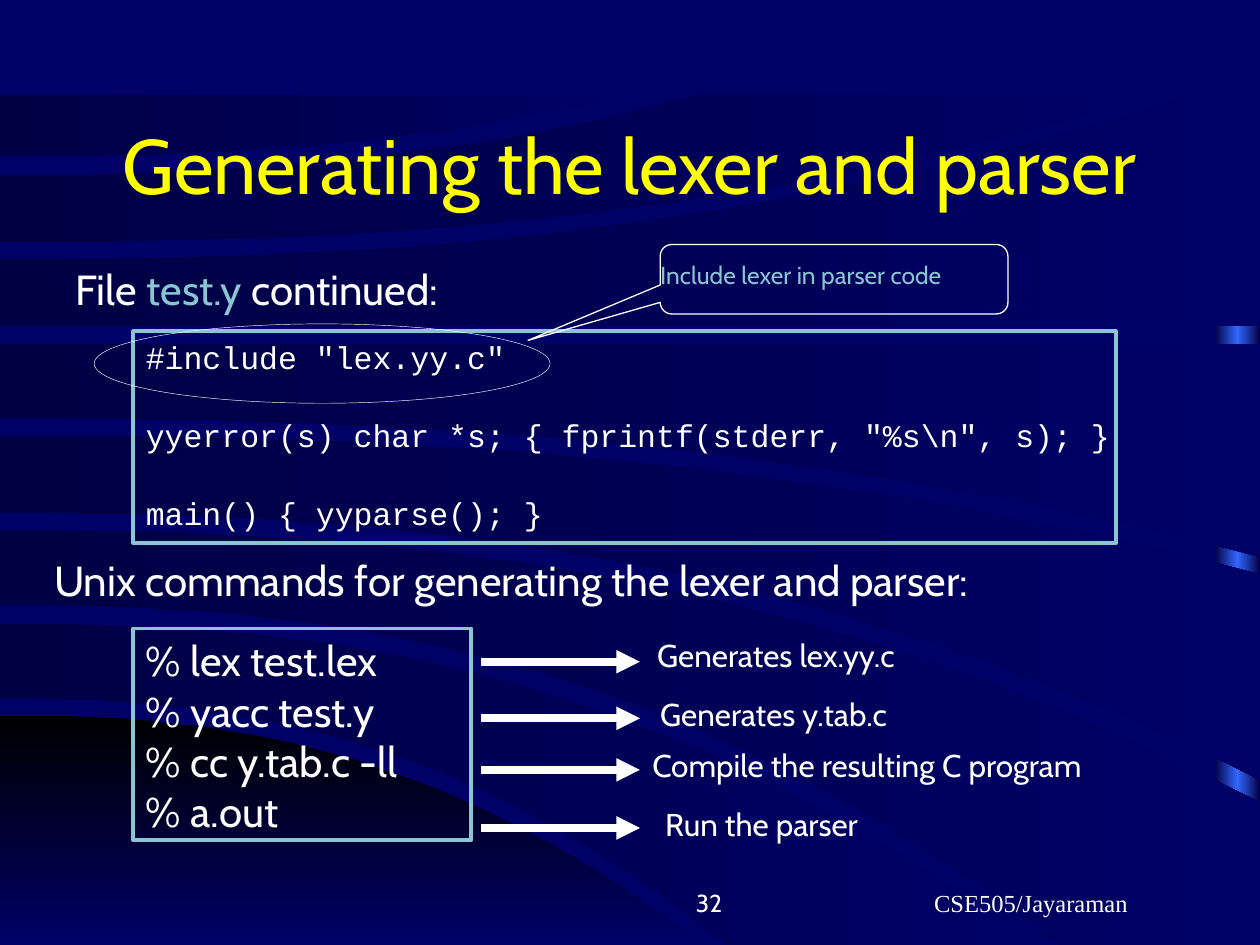
from lxml import etree
from pptx import Presentation
from pptx.dml.color import RGBColor
from pptx.enum.shapes import MSO_CONNECTOR, MSO_SHAPE
from pptx.enum.text import MSO_ANCHOR, PP_ALIGN
from pptx.oxml.ns import qn
from pptx.util import Cm, Pt

RECT, OVAL, CALLOUT = MSO_SHAPE.RECTANGLE, MSO_SHAPE.OVAL, MSO_SHAPE.ROUNDED_RECTANGULAR_CALLOUT
STRAIGHT = MSO_CONNECTOR.STRAIGHT
TOP, MIDDLE, BOTTOM = MSO_ANCHOR.TOP, MSO_ANCHOR.MIDDLE, MSO_ANCHOR.BOTTOM
LEFT, CENTER, RIGHT = PP_ALIGN.LEFT, PP_ALIGN.CENTER, PP_ALIGN.RIGHT


class Theme:
    navy, dark, black, glow = "000066", "000044", "000000", "3366FF"
    white, yellow, teal = "FFFFFF", "FFFF00", "8AC6D2"
    sans, mono, serif = "Cabin", "Courier New", "Times New Roman"
    title, body, label, small = 44, 24, 18, 14


def write(sp, paragraphs, size, color=Theme.white, font=Theme.sans, align=LEFT, anchor=TOP, gap=0):
    tf = sp.text_frame
    tf.word_wrap = True
    tf.vertical_anchor = anchor
    tf.margin_right = Cm(0.25) if align == RIGHT else 0
    if align == CENTER:
        tf.margin_left = 0
    for i, runs in enumerate(paragraphs):
        p = tf.paragraphs[0] if i == 0 else tf.add_paragraph()
        p.alignment = align
        p.space_before = Pt(gap if i else 0)
        for text, run_color in runs:
            r = p.add_run()
            r.text = text
            r.font.size = Pt(size)
            r.font.name = font
            r.font.color.rgb = RGBColor.from_string(run_color or color)


def paint_gradient(sp, colors, angle):
    sp.shadow.inherit = False
    sp.line.fill.background()
    sp.fill.gradient()
    sp.fill.gradient_angle = angle
    stops = sp._element.spPr.find(".//" + qn("a:gsLst"))
    for gs in list(stops):
        stops.remove(gs)
    for i, color in enumerate(colors):
        gs = etree.SubElement(stops, qn("a:gs"), pos=str(100000 * i // (len(colors) - 1)))
        etree.SubElement(gs, qn("a:srgbClr"), val=color)


prs = Presentation()
prs.slide_width, prs.slide_height = Cm(25.4), Cm(19.05)
s = prs.slides.add_slide(prs.slide_layouts[5])
s.background.fill.solid()
s.background.fill.fore_color.rgb = RGBColor.from_string(Theme.navy)

bar = s.shapes.add_shape(RECT, Cm(24.49), Cm(1.96), Cm(0.91), Cm(17.09))
paint_gradient(bar, [Theme.dark, Theme.glow, Theme.dark], 0)

BEND, STEPS = 2.4, 24
swooshes = [
    ((568, 556, 750), (750, 556, 750), Theme.black, 270),
    ((495, 820, 750), (554, 577, 750), Theme.dark, 0),
    ((421, 1000, 637), (480, 842, 750), Theme.dark, 0),
    ((346, 1000, 456), (407, 1000, 619), Theme.dark, 0),
    ((273, 1000, 273), (332, 1000, 442), Theme.dark, 0),
    ((206, 944, 75), (259, 1000, 259), Theme.dark, 0),
    ((139, 557, 75), (192, 918, 75), Theme.dark, 0),
    ((75, 502, 75), (124, 502, 75), Theme.dark, 0),
]
for upper, lower, start_color, angle in swooshes:
    top_edge, bottom_edge = [
        [(end_x * i / STEPS, start_y + (end_y - start_y) * (i / STEPS) ** BEND)
         for i in range(STEPS + 1)]
        for start_y, end_x, end_y in (upper, lower)
    ]
    corner_y = upper[2] if upper[2] < upper[0] else lower[2]
    corner = (max(upper[1], lower[1]), corner_y)
    points = top_edge + [corner] + bottom_edge[::-1]
    fb = s.shapes.build_freeform(*points[0], scale=Cm(0.0254))
    fb.add_line_segments(points[1:], close=True)
    paint_gradient(fb.convert_to_shape(), [start_color, Theme.navy], angle)

title = s.shapes.title
title._element.getparent().append(title._element)
title.left, title.top, title.width, title.height = Cm(1.9), Cm(1.7), Cm(21.59), Cm(3.18)
write(title, [[("Generating the lexer and parser", None)]], Theme.title, Theme.yellow,
      align=CENTER, anchor=MIDDLE)

code = ['#include "lex.yy.c"',
        'yyerror(s) char *s; { fprintf(stderr, "%s\\n", s); }',
        "main() { yyparse(); }"]
commands = ["% lex test.lex", "% yacc test.y", "% cc y.tab.c -ll", "% a.out"]
outlines = [
    (RECT, 2.69, 6.68, 19.81, 4.27, Theme.teal, 2.25, code, Theme.label, Theme.mono, 23),
    (RECT, 2.69, 12.67, 6.81, 4.27, Theme.teal, 2.25, commands, Theme.body, Theme.sans, 0),
    (OVAL, 1.9, 6.53, 9.19, 1.6, Theme.white, 0.25, [], Theme.label, Theme.sans, 0),
    (CALLOUT, 13.31, 4.93, 7.01, 1.4, Theme.white, 0.75, [], Theme.label, Theme.sans, 0),
]
for kind, x, y, w, h, color, weight, lines, size, font, gap in outlines:
    sp = s.shapes.add_shape(kind, Cm(x), Cm(y), Cm(w), Cm(h))
    sp.shadow.inherit = False
    sp.fill.background()
    sp.line.color.rgb = RGBColor.from_string(color)
    sp.line.width = Pt(weight)
    if kind == CALLOUT:
        sp.adjustments[0], sp.adjustments[1] = -0.88, 0.88
    write(sp, [[(line, None)] for line in lines], size, font=font, gap=gap)

steps = [
    (13.34, 13, 12.7, "Generates lex.yy.c"),
    (14.48, 13.06, 13.89, "Generates y.tab.c"),
    (15.52, 12.9, 14.91, "Compile the resulting C program"),
    (16.69, 13.16, 16.1, "Run the parser"),
]
for arrow_y, x, y, text in steps:
    arrow = s.shapes.add_connector(STRAIGHT, Cm(9.7), Cm(arrow_y), Cm(12.9), Cm(arrow_y))
    arrow.line.color.rgb = RGBColor.from_string(Theme.white)
    arrow.line.width = Pt(4.5)
    etree.SubElement(arrow.line._get_or_add_ln(), qn("a:tailEnd"), type="triangle")
    etree.SubElement(arrow._element.spPr, qn("a:effectLst"))
    sp = s.shapes.add_textbox(Cm(x), Cm(y), Cm(11), Cm(1.02))
    write(sp, [[(text, None)]], Theme.label)

file_runs = [("File ", None), ("test.y", Theme.teal), (" continued:", None)]
unix_runs = [("Unix commands for generating the lexer and parser:", None)]
note_runs = [("Include lexer in parser code", Theme.teal)]
texts = [
    (1.27, 5.18, 8.69, 1.27, file_runs, Theme.body, Theme.sans, LEFT, TOP),
    (0.84, 11.05, 21.41, 1.27, unix_runs, Theme.body, Theme.sans, LEFT, TOP),
    (13.06, 5.11, 6.96, 0.86, note_runs, Theme.small, Theme.sans, LEFT, TOP),
    (9.53, 17.35, 5.28, 1.27, [("32", None)], Theme.small, Theme.sans, RIGHT, BOTTOM),
    (16.76, 17.35, 8.05, 1.27, [("CSE505/Jayaraman", None)], Theme.small, Theme.serif, CENTER, BOTTOM),
]
for x, y, w, h, runs, size, font, align, anchor in texts:
    sp = s.shapes.add_textbox(Cm(x), Cm(y), Cm(w), Cm(h))
    write(sp, [runs], size, font=font, align=align, anchor=anchor)

prs.save("out.pptx")
